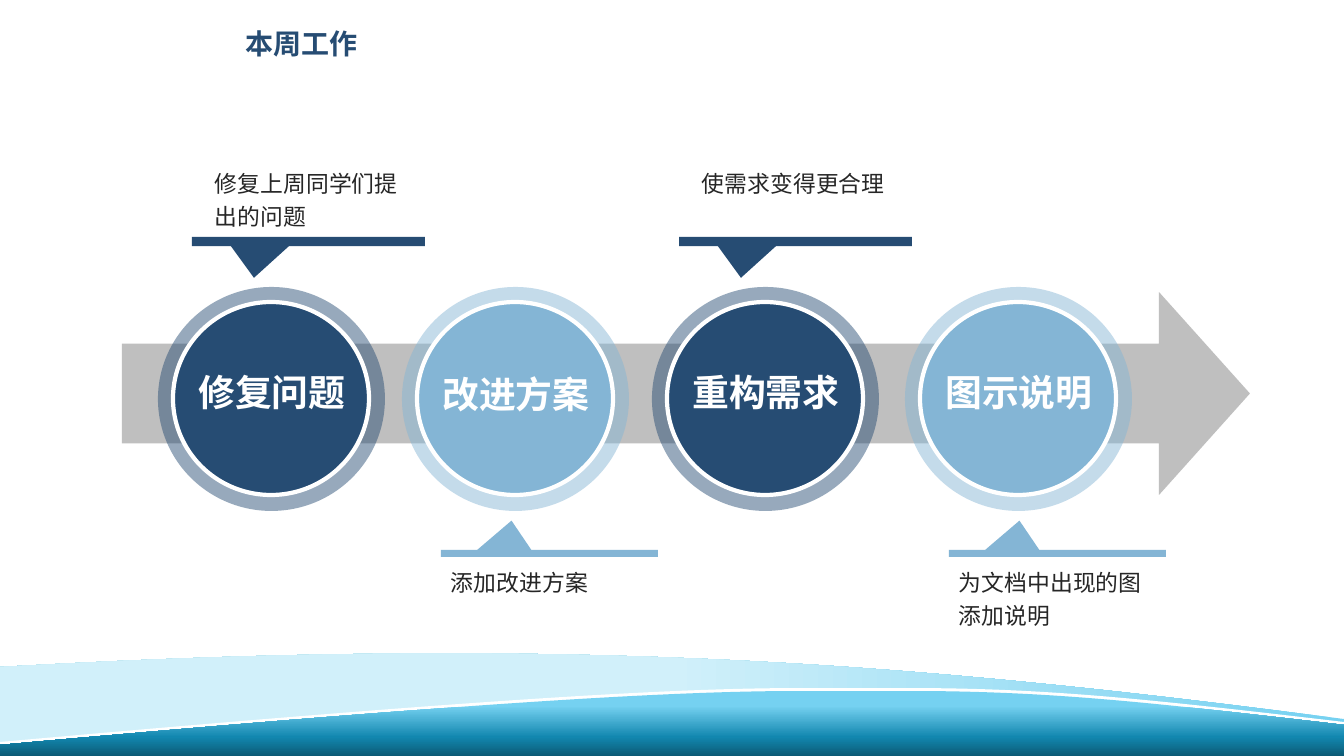
from dataclasses import dataclass
from lxml.etree import SubElement
from pptx import Presentation
from pptx.dml.color import RGBColor
from pptx.enum.shapes import MSO_SHAPE as Kind
from pptx.enum.text import MSO_ANCHOR as Anchor, MSO_AUTO_SIZE as Auto, PP_ALIGN as Align
from pptx.oxml.ns import qn
from pptx.util import Pt


@dataclass(frozen=True)
class Theme:
    navy: str = "264C73"
    sky: str = "84B5D5"
    gray: str = "BFBFBF"
    ink: str = "262626"
    white: str = "FFFFFF"
    foam: str = "D1F0FA"
    aqua: str = "75D1F1"
    teal: str = "1287AF"
    deep: str = "0C5A75"
    sans: str = "Noto Sans CJK SC"
    head: str = "Arial"
    title: float = 20
    label: float = 26.3
    note: float = 16.3


theme = Theme()
SCALE = 914400 / 100.8
WIDE, HIGH = 1344, 756


def px(n):
    return round(n * SCALE)


def place(shape, box):
    shape.left, shape.top, shape.width, shape.height = map(px, box)


def paint(shape, color, alpha=None, line=None):
    shape.shadow.inherit = False
    shape.fill.solid()
    shape.fill.fore_color.rgb = RGBColor.from_string(color)
    if alpha:
        tint = shape._element.spPr.find(qn("a:solidFill"))[0]
        SubElement(tint, qn("a:alpha"), val=str(alpha * 1000))
    if line:
        shape.line.color.rgb = RGBColor.from_string(line)
        shape.line.width = Pt(3)
    else:
        shape.line.fill.background()


def blend(shape, stops, angle):
    shape.fill.gradient()
    shape.fill.gradient_angle = angle
    rows = shape._element.spPr.find(".//" + qn("a:gsLst"))
    rows.clear()
    for spot, color in stops:
        stop = SubElement(rows, qn("a:gs"), pos=str(spot * 1000))
        SubElement(stop, qn("a:srgbClr"), val=color)


def draw(slide, kind, box, color, adjust=(), **style):
    shape = slide.shapes.add_shape(kind, *map(px, box))
    for i, value in enumerate(adjust):
        shape.adjustments[i] = value
    paint(shape, color, **style)


def write(frame, text, size, color, font=theme.sans, bold=False,
          align=Align.LEFT, space=1.0, inset=(10, 5), wrap=True):
    frame.word_wrap = wrap
    frame.auto_size = Auto.NONE
    frame.vertical_anchor = Anchor.TOP
    frame.margin_left = frame.margin_right = px(inset[0])
    frame.margin_top = frame.margin_bottom = px(inset[1])
    para = frame.paragraphs[0]
    para.alignment, para.line_spacing = align, space
    run = para.add_run()
    run.text = text
    face = run.font
    face.name, face.size, face.bold = font, Pt(size), bold
    face.color.rgb = RGBColor.from_string(color)
    SubElement(run._r.get_or_add_rPr(), qn("a:ea"), typeface=font)


def textbox(slide, box, text, size, color, **style):
    frame = slide.shapes.add_textbox(*map(px, box)).text_frame
    write(frame, text, size, color, **style)


def outline(slide, box, start, legs, color):
    left, top, wide, high = map(px, box)
    pen = slide.shapes.build_freeform(left, top, scale=1.0)
    pen.add_line_segments([(left + wide, top), (left + wide, top + high),
                           (left, top + high)], close=True)
    shape = pen.convert_to_shape()
    track = shape._element.spPr.find(".//" + qn("a:path"))
    for step in list(track):
        track.remove(step)
    for dots in [[start], *legs]:
        tag = "cubicBezTo" if len(dots) == 3 else "moveTo" if dots[0] is start else "lnTo"
        step = SubElement(track, qn("a:" + tag))
        for x, y in dots:
            SubElement(step, qn("a:pt"), x=str(px(x)), y=str(px(y)))
    SubElement(track, qn("a:close"))
    paint(shape, color)
    return shape


def waves(slide, box):
    left, top, wide, high = box
    far = outline(slide, (left, top, wide, 94), (0, 14), [
        [(597, -20), (940, 14), (wide, 66)],
        [(wide, 89), (wide, 62), (wide, 86)],
        [(879, -7), (487, 71), (0, 94)],
    ], theme.foam)
    blend(far, [(0, theme.aqua), (50, theme.foam), (100, theme.foam)], 180)

    crest = [(0, 54), (523, 7), (694, 0), (804, 0), (841, 0), (872, 0),
             (906, 0), (1044, 0), (1140, 10), (wide, 34)]

    def legs(dots):
        return [dots[i:i + 3] for i in range(1, len(dots), 3)]

    under = [(x, y + 10) for x, y in reversed(crest)]
    outline(slide, (left, top + 35, wide, 64), crest[0],
            legs(crest) + [under[:1]] + legs(under), theme.white)
    deep = high - 38
    near = outline(slide, (left, top + 38, wide, deep), crest[0],
                   legs(crest) + [[(wide, deep)], [(0, deep)]], theme.teal)
    blend(near, [(23, theme.aqua), (71, theme.teal), (100, theme.deep)], 270)


def heading(slide, box, text):
    title = slide.shapes.title
    place(title, box)
    write(title.text_frame, text, theme.title, theme.navy, font=theme.head,
          bold=True, space=1.3, wrap=False)


def stage(slide, box, name, color, drop):
    left, top, wide, high = box
    draw(slide, Kind.OVAL, box, color, alpha=48)
    draw(slide, Kind.OVAL, (left + 15, top + 15, wide - 31, high - 31), color,
         line=theme.white)
    textbox(slide, (left - 11, top + 78 + drop, 250, 79), name, theme.label,
            theme.white, bold=True, align=Align.CENTER)


def callout(slide, box, note, color, above):
    left, top, _, high = box
    adjust = (-0.234, 4.033) if above else (-0.175, -4.7)
    draw(slide, Kind.RECTANGULAR_CALLOUT, box, color, adjust)
    spot = (left + 10, top - 80) if above else (left - 3, top + high - 1)
    tall = 79 if len(note) > 8 else 44
    textbox(slide, (*spot, 217, tall), note, theme.note, theme.ink,
            space=1.2, inset=(13, 7))


def process(slide, box):
    left, top, wide, high = box
    draw(slide, Kind.RIGHT_ARROW, box, theme.gray, (0.491, 0.448))
    steps = [
        (36, 70, "修复问题", "修复上周同学们提出的问题", 0),
        (280, 319, "改进方案", "添加改进方案", 2),
        (530, 557, "重构需求", "使需求变得更合理", 0),
        (783, 827, "图示说明", "为文档中出现的图添加说明", 0),
    ]
    for i, (x, bar, name, note, drop) in enumerate(steps):
        above = i % 2 == 0
        color = theme.navy if above else theme.sky
        stage(slide, (left + x, top - 5, 227, 224), name, color, drop)
        rail = (-55, 233, 9) if above else (258, 217, 7)
        callout(slide, (left + bar, top + rail[0], *rail[1:]), note, color, above)


deck = Presentation()
deck.slide_width, deck.slide_height = px(WIDE), px(HIGH)
page = deck.slides.add_slide(deck.slide_layouts[5])
waves(page, (0, 653, WIDE, HIGH - 653))
heading(page, (235, 11, 133, 54), "本周工作")
process(page, (122, 292, 1128, 203))
deck.save("out.pptx")
